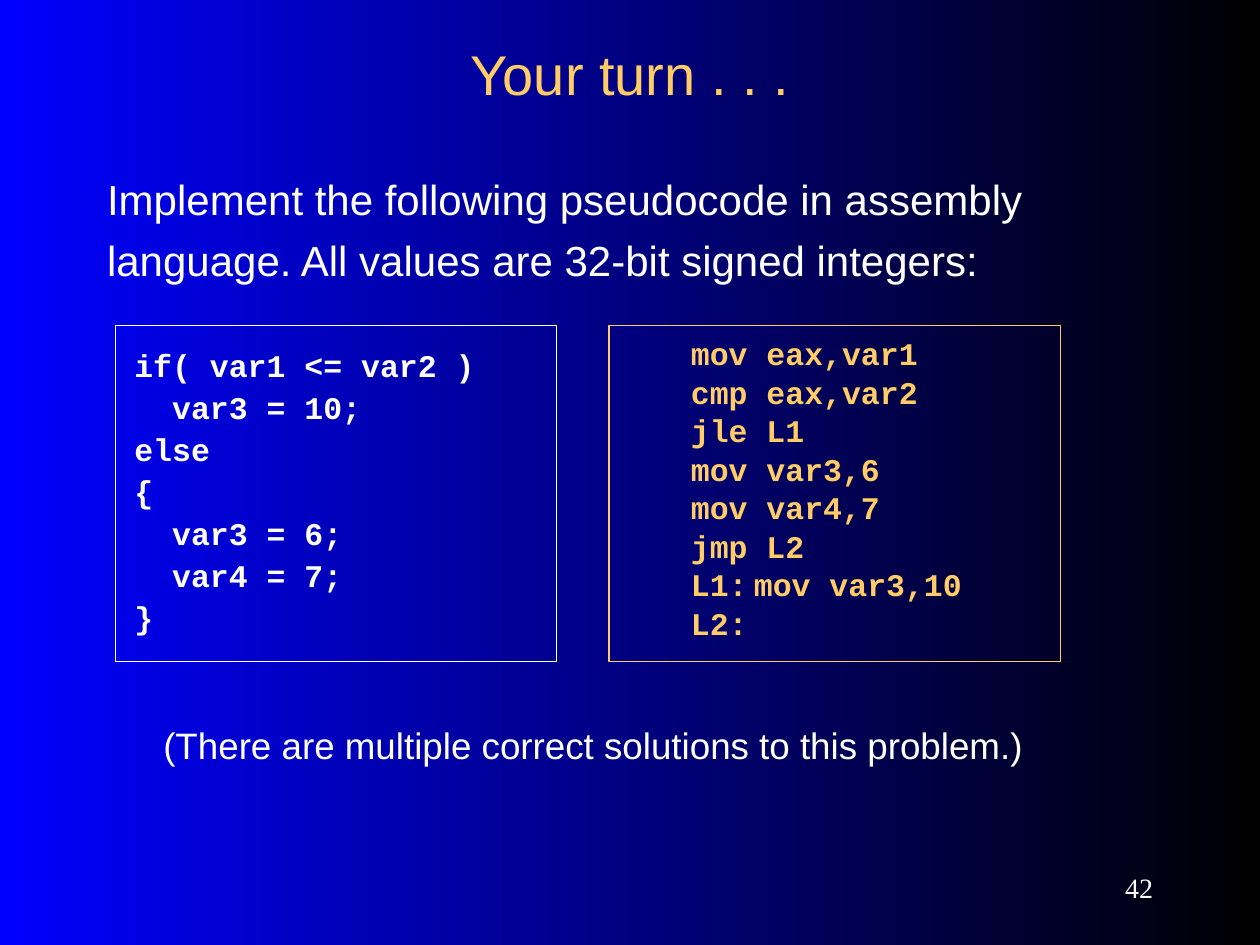
from lxml import etree
from pptx import Presentation
from pptx import util as u
from pptx.dml.color import RGBColor
from pptx.enum import shapes, text
from pptx.oxml.ns import qn

CELL = u.Inches(1) // 12  # the slide is a grid of 120 columns by 90 rows
GOLD, WHITE = "FFCC66", "FFFFFF"
PSEUDOCODE = """if( var1 <= var2 )
  var3 = 10;
else
{
  var3 = 6;
  var4 = 7;
}"""
ASSEMBLY = """mov eax,var1
cmp eax,var2
jle L1
mov var3,6
mov var4,7
jmp L2
L1:\tmov var3,10
L2:"""


def colour(value):
    return RGBColor.from_string(value)


def place(box, area):
    box.left, box.top, box.width, box.height = (round(n * CELL) for n in area)


def set_frame(box, inset_x=0.1, inset_y=0.05, anchor=text.MSO_ANCHOR.TOP):
    frame = box.text_frame
    frame.word_wrap = True
    frame.auto_size = text.MSO_AUTO_SIZE.NONE
    frame.vertical_anchor = anchor
    frame.margin_left = frame.margin_right = u.Inches(inset_x)
    frame.margin_top = frame.margin_bottom = u.Inches(inset_y)
    return frame


def set_para(para, words, size, tint, font="Arial", align=text.PP_ALIGN.LEFT,
             indent=0, spacing=1.0, before=0, bold=False, tab=None):
    para.text = words
    para.alignment = align
    para.line_spacing = spacing
    para.space_before = u.Pt(before)
    props = para._p.get_or_add_pPr()
    props.set("marL", str(u.Inches(indent)))
    props.set("indent", "0")
    etree.SubElement(props, qn("a:buNone"))
    if tab:
        tabs = etree.SubElement(props, qn("a:tabLst"))
        etree.SubElement(tabs, qn("a:tab"), pos=str(u.Inches(tab)), algn="l")
    for span in para.runs:
        span.font.name = font
        span.font.size = u.Pt(size)
        span.font.bold = bold
        span.font.color.rgb = colour(tint)


def add_background(page):
    fill = page.background.fill
    fill.gradient()
    fill.gradient_angle = 180
    for stop, tint in zip(fill.gradient_stops, ("000000", "0000FF")):
        stop.color.rgb = colour(tint)


def add_title(page, area, words):
    box = page.shapes.title
    place(box, area)
    frame = set_frame(box, anchor=text.MSO_ANCHOR.MIDDLE)
    set_para(frame.paragraphs[0], words, 32, GOLD, align=text.PP_ALIGN.CENTER)


def add_task(page, area, words):
    box = page.placeholders[1]
    place(box, area)
    set_para(set_frame(box).paragraphs[0], words, 24, WHITE, spacing=1.2)


def add_code(page, area, code, tint, spacing, before, indent=0):
    box = page.shapes.add_shape(shapes.MSO_SHAPE.RECTANGLE, 0, 0, 0, 0)
    place(box, area)
    box.shadow.inherit = False
    box.fill.background()
    box.line.color.rgb = colour(tint)
    box.line.width = u.Pt(0.75)
    frame = set_frame(box, 0.15, 0.2)
    for number, line in enumerate(code.split("\n")):
        para = frame.add_paragraph() if number else frame.paragraphs[0]
        set_para(para, line, 18, tint, "Courier New", indent=indent, spacing=spacing,
                 before=before if number else 0, bold=True, tab=0.5)


def add_label(page, area, words, size, font, align, inset_y, anchor):
    box = page.shapes.add_textbox(0, 0, 0, 0)
    place(box, area)
    frame = set_frame(box, inset_y=inset_y, anchor=anchor)
    set_para(frame.paragraphs[0], words, size, WHITE, font, align)


def main():
    deck = Presentation()
    deck.slide_width, deck.slide_height = 120 * CELL, 90 * CELL
    page = deck.slides.add_slide(deck.slide_layouts[1])
    add_background(page)

    # Heading and task
    add_title(page, (9, 3, 102, 8), "Your turn . . .")
    add_task(page, (9, 15, 102, 16),
             "Implement the following pseudocode in assembly language. "
             "All values are 32-bit signed integers:")

    # Solution on the right, pseudocode on the left
    add_code(page, (58, 31, 43, 32), ASSEMBLY, GOLD, 0.5, 11.2, indent=0.5)
    add_code(page, (11, 31, 42, 32), PSEUDOCODE, WHITE, 0.9, 4.5)

    # Remark and page number
    add_label(page, (9, 67, 95, 7.8), "(There are multiple correct solutions to this problem.)",
              21, "Arial", text.PP_ALIGN.CENTER, 0.15, text.MSO_ANCHOR.TOP)
    add_label(page, (98, 82, 13, 5), "42", 16, "Times New Roman",
              text.PP_ALIGN.RIGHT, 0.05, text.MSO_ANCHOR.MIDDLE)
    deck.save("out.pptx")


if __name__ == "__main__":
    main()
